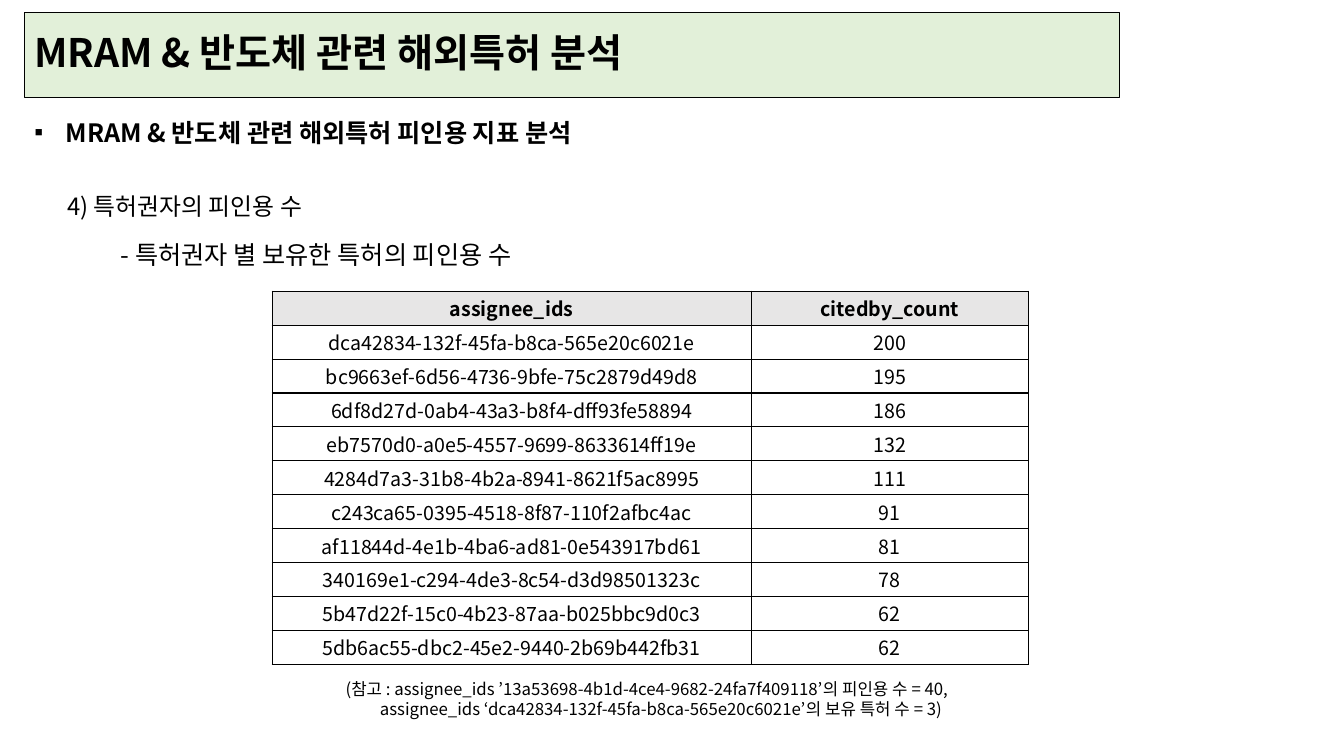
from dataclasses import dataclass

from lxml import etree
from pptx import Presentation
from pptx import util as u
from pptx.dml.color import RGBColor
from pptx.enum import text as t
from pptx.oxml import ns

FONT = "Noto Sans CJK KR"
BLACK = RGBColor(0, 0, 0)
GREEN = RGBColor(0xE2, 0xF0, 0xD9)
GREY = RGBColor(0xE7, 0xE6, 0xE6)


@dataclass
class Label:
    left: float
    top: float
    width: float
    height: float
    lines: list[str]
    size: int
    space: float = 1.0
    wrap: bool = True
    indent: float = 0


LABELS = [
    Label(0.57, 1.71, 6.26, 0.47, ["4) 특허권자의 피인용 수"], 17, 1.5),
    Label(1.1, 2.18, 4.63, 0.5, ["- 특허권자 별 보유한 특허의 피인용 수"], 18, 1.5, False),
    Label(3.33, 6.68, 6.67, 0.5, [
        "(참고 : assignee_ids ’13a53698-4b1d-4ce4-9682-24fa7f409118’의 피인용 수 = 40,",
        "assignee_ids ‘dca42834-132f-45fa-b8ca-565e20c6021e’의 보유 특허 수 = 3)",
    ], 12, indent=0.34),
]

ROWS = [
    ("assignee_ids", "citedby_count"),
    ("dca42834-132f-45fa-b8ca-565e20c6021e", 200),
    ("bc9663ef-6d56-4736-9bfe-75c2879d49d8", 195),
    ("6df8d27d-0ab4-43a3-b8f4-dff93fe58894", 186),
    ("eb7570d0-a0e5-4557-9699-8633614ff19e", 132),
    ("4284d7a3-31b8-4b2a-8941-8621f5ac8995", 111),
    ("c243ca65-0395-4518-8f87-110f2afbc4ac", 91),
    ("af11844d-4e1b-4ba6-ad81-0e543917bd61", 81),
    ("340169e1-c294-4de3-8c54-d3d98501323c", 78),
    ("5b47d22f-15c0-4b23-87aa-b025bbc9d0c3", 62),
    ("5db6ac55-dbc2-45e2-9440-2b69b442fb31", 62),
]


def place(shape, left: float, top: float, width: float, height: float) -> None:
    shape.left, shape.top = u.Inches(left), u.Inches(top)
    shape.width, shape.height = u.Inches(width), u.Inches(height)


def style(para, size: int, bold: bool = False, align=t.PP_ALIGN.LEFT) -> None:
    para.alignment = align
    font = para.font
    font.size, font.bold, font.name = u.Pt(size), bold, FONT
    font.color.rgb = BLACK
    props = para._p.pPr.find(ns.qn("a:defRPr"))
    latin = props.find(ns.qn("a:latin"))
    latin.addnext(props.makeelement(ns.qn("a:ea"), {"typeface": FONT}))


def add_title(slide) -> None:
    title = slide.shapes.title
    place(title, 0.24, 0.12, 10.86, 0.85)
    title.fill.solid()
    title.fill.fore_color.rgb = GREEN
    title.line.color.rgb = BLACK
    title.line.width = u.Pt(0.75)
    frame = title.text_frame
    frame.text = "MRAM & 반도체 관련 해외특허 분석"
    frame.auto_size = t.MSO_AUTO_SIZE.NONE
    frame.vertical_anchor = t.MSO_ANCHOR.MIDDLE
    para = frame.paragraphs[0]
    para.line_spacing = 0.9
    style(para, 28, True)


def add_topic(slide) -> None:
    body = slide.placeholders[1]
    place(body, 0.24, 1.11, 8.84, 0.4)
    frame = body.text_frame
    frame.text = "MRAM & 반도체 관련 해외특허 피인용 지표 분석"
    frame.auto_size = t.MSO_AUTO_SIZE.NONE
    para = frame.paragraphs[0]
    para.space_before = u.Pt(0)
    props = para._p.get_or_add_pPr()
    props.set("marL", str(u.Inches(0.31)))
    props.set("indent", str(-u.Inches(0.31)))
    etree.SubElement(props, ns.qn("a:buChar"), char="▪")
    style(para, 18, True)


def add_label(slide, label: Label) -> None:
    box = slide.shapes.add_textbox(0, 0, 0, 0)
    place(box, label.left, label.top, label.width, label.height)
    frame = box.text_frame
    frame.word_wrap = label.wrap
    frame.text = "\n".join(label.lines)
    for row, para in enumerate(frame.paragraphs):
        para.line_spacing = label.space
        if row and label.indent:
            para._p.get_or_add_pPr().set("marL", str(u.Inches(label.indent)))
        style(para, label.size)


def add_border(cell) -> None:
    props = cell._tc.get_or_add_tcPr()
    for side in ("lnL", "lnR", "lnT", "lnB"):
        line = etree.SubElement(props, ns.qn(f"a:{side}"), w=str(u.Pt(1)))
        fill = etree.SubElement(line, ns.qn("a:solidFill"))
        etree.SubElement(fill, ns.qn("a:srgbClr"), val=str(BLACK))


def fill_cell(cell, value: str, head: bool) -> None:
    cell.text = value
    cell.vertical_anchor = t.MSO_ANCHOR.MIDDLE
    cell.margin_left = cell.margin_right = u.Inches(0.08)
    cell.margin_top = cell.margin_bottom = u.Inches(0.01)
    style(cell.text_frame.paragraphs[0], 14, head, t.PP_ALIGN.CENTER)
    add_border(cell)
    if head:
        cell.fill.solid()
        cell.fill.fore_color.rgb = GREY
    else:
        cell.fill.background()


def add_counts(slide) -> None:
    frame = slide.shapes.add_table(
        len(ROWS), 2, u.Inches(2.7), u.Inches(2.89), u.Inches(7.5), u.Inches(3.7))
    table = frame.table
    table.horz_banding = False
    for col, width in zip(table.columns, (4.75, 2.75)):
        col.width = u.Inches(width)
    for r, row in enumerate(ROWS):
        for c, value in enumerate(row):
            fill_cell(table.cell(r, c), str(value), r == 0)


def main() -> None:
    deck = Presentation()
    deck.slide_width, deck.slide_height = u.Inches(13.33), u.Inches(7.5)
    slide = deck.slides.add_slide(deck.slide_layouts[1])
    add_title(slide)
    add_topic(slide)
    for label in LABELS:
        add_label(slide, label)
    add_counts(slide)
    deck.save("out.pptx")


if __name__ == "__main__":
    main()
